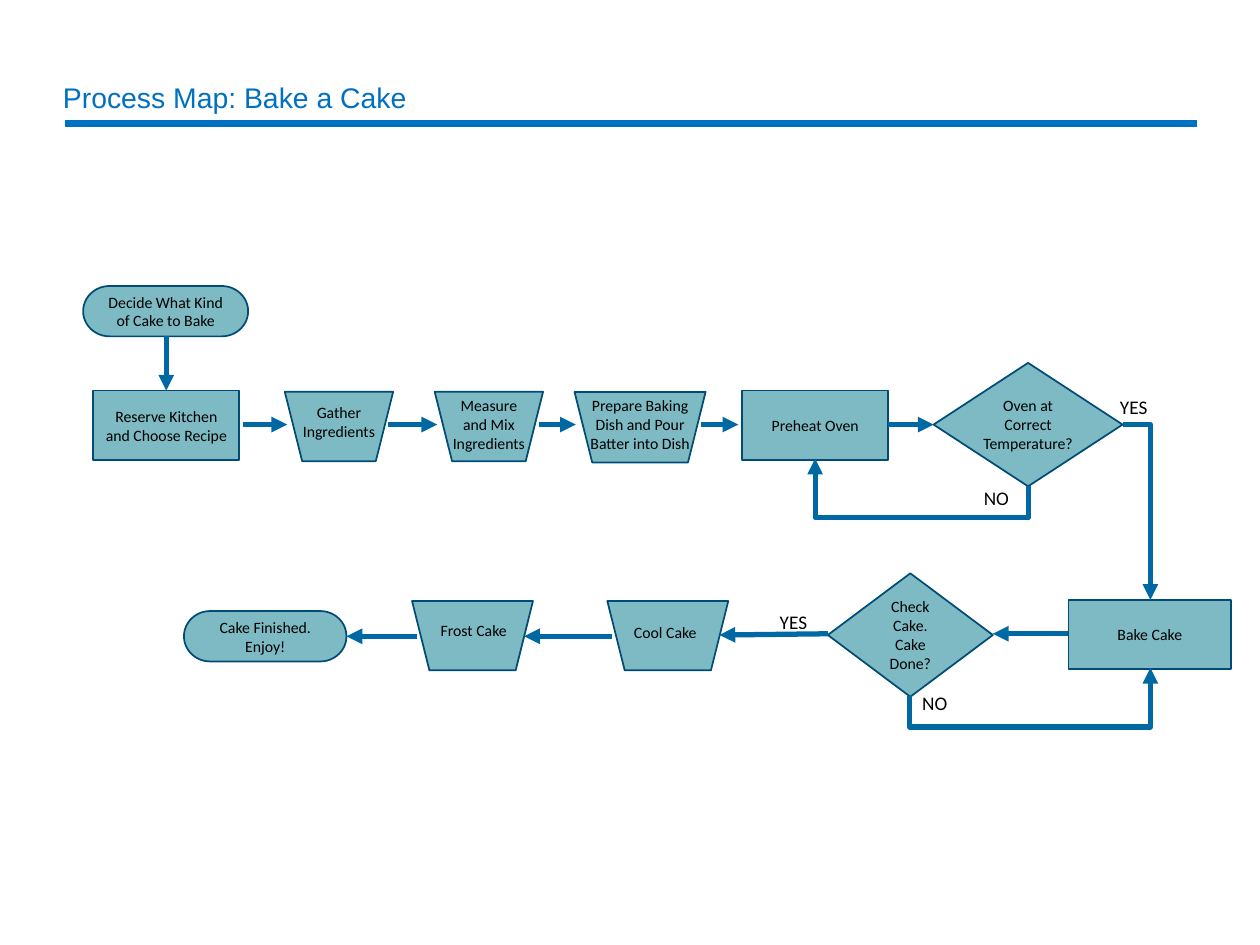
from typing import NamedTuple

from lxml import etree
from pptx import Presentation
from pptx.dml.color import RGBColor
from pptx.enum.shapes import MSO_CONNECTOR, MSO_SHAPE
from pptx.enum.text import MSO_ANCHOR, PP_ALIGN
from pptx.oxml.ns import qn
from pptx.util import Inches, Pt

TERMINATOR = MSO_SHAPE.FLOWCHART_TERMINATOR
PROCESS = MSO_SHAPE.FLOWCHART_PROCESS
DECISION = MSO_SHAPE.FLOWCHART_DECISION
TRAPEZOID = MSO_SHAPE.TRAPEZOID
STRAIGHT, ELBOW = MSO_CONNECTOR.STRAIGHT, MSO_CONNECTOR.ELBOW
TOP, MIDDLE = MSO_ANCHOR.TOP, MSO_ANCHOR.MIDDLE
LEFT, CENTER = PP_ALIGN.LEFT, PP_ALIGN.CENTER

TITLE_BLUE = RGBColor(0x00, 0x70, 0xC0)
ARROW_BLUE = RGBColor(0x00, 0x69, 0xA3)
OUTLINE = RGBColor(0x00, 0x4C, 0x76)
TEAL = RGBColor(0x7D, 0xBA, 0xC4)
BLACK = RGBColor(0, 0, 0)

LOOP_DROP = 0.25


class Step(NamedTuple):
    kind: int
    text: str
    x: float
    y: float
    w: float
    h: float
    inset: float = 0.1


class ManualStep(NamedTuple):
    """A trapezoid with its wide side up, and the box of its upright text."""
    text: str
    x: float
    y: float
    w: float
    h: float
    text_x: float
    text_y: float
    text_h: float


class Arrow(NamedTuple):
    x1: float
    y1: float
    x2: float
    y2: float


class Label(NamedTuple):
    text: str
    x: float
    y: float


STEPS = [
    Step(TERMINATOR, "Decide What Kind of Cake to Bake", 0.66, 2.27, 1.31, 0.4),
    Step(PROCESS, "Reserve Kitchen and Choose Recipe", 0.74, 3.1, 1.16, 0.55),
    Step(PROCESS, "Preheat Oven", 5.89, 3.1, 1.16, 0.55),
    Step(DECISION, "Oven at Correct Temperature?", 7.41, 2.88, 1.5, 0.98, inset=0),
    Step(PROCESS, "Bake Cake", 8.48, 4.76, 1.29, 0.55),
    Step(DECISION, "Check Cake. Cake Done?", 6.57, 4.55, 1.31, 0.98),
    Step(TERMINATOR, "Cake Finished. Enjoy!", 1.46, 4.85, 1.29, 0.4),
]
MANUAL_STEPS = [
    ManualStep("Gather Ingredients", 2.26, 3.11, 0.86, 0.55, 2.26, 3.15, 0.4),
    ManualStep("Measure and Mix Ingredients", 3.45, 3.11, 0.86, 0.55, 3.45, 3.09, 0.56),
    ManualStep("Prepare Baking Dish and Pour Batter into Dish",
               4.56, 3.11, 1.04, 0.56, 4.56, 3.09, 0.56),
    ManualStep("Cool Cake", 4.82, 4.77, 0.96, 0.55, 4.8, 4.89, 0.25),
    ManualStep("Frost Cake", 3.27, 4.77, 0.96, 0.55, 3.28, 4.88, 0.25),
]
ARROWS = [
    Arrow(1.32, 2.67, 1.32, 3.1),
    Arrow(1.93, 3.37, 2.28, 3.37),
    Arrow(3.08, 3.37, 3.47, 3.37),
    Arrow(4.28, 3.37, 4.57, 3.37),
    Arrow(5.56, 3.37, 5.86, 3.37),
    Arrow(7.05, 3.37, 7.41, 3.37),
    Arrow(8.48, 5.03, 7.88, 5.03),
    Arrow(6.57, 5.03, 5.71, 5.04),
    Arrow(4.86, 5.05, 4.16, 5.05),
    Arrow(3.31, 5.05, 2.75, 5.05),
]
LOOPS = [Arrow(8.16, 3.86, 6.47, 3.64), Arrow(7.22, 5.52, 9.13, 5.3)]
YES_TURN = Arrow(8.91, 3.37, 9.13, 4.76)
LABELS = [
    Label("YES", 8.79, 3.09),
    Label("NO", 7.71, 3.81),
    Label("YES", 6.09, 4.79),
    Label("NO", 7.22, 5.44),
]


def write(sp, text: str, *, size: float = 9, font: str = "Calibri",
          color: RGBColor = BLACK, align: int = CENTER, anchor: int = MIDDLE,
          inset: float = 0.1, spacing: float = 1.0) -> None:
    tf = sp.text_frame
    tf.word_wrap = True
    tf.vertical_anchor = anchor
    tf.margin_left = tf.margin_right = Inches(inset)
    tf.margin_top = tf.margin_bottom = Inches(0.05)
    p = tf.paragraphs[0]
    p.alignment = align
    p.line_spacing = spacing
    r = p.add_run()
    r.text = text
    r.font.size = Pt(size)
    r.font.name = font
    r.font.color.rgb = color


def add_text(slide, text: str, x: float, y: float, w: float, h: float, **style) -> None:
    sp = slide.shapes.add_textbox(Inches(x), Inches(y), Inches(w), Inches(h))
    write(sp, text, **style)


def add_block(slide, kind: int, x: float, y: float, w: float, h: float):
    sp = slide.shapes.add_shape(kind, Inches(x), Inches(y), Inches(w), Inches(h))
    sp.shadow.inherit = False
    sp.fill.solid()
    sp.fill.fore_color.rgb = TEAL
    sp.line.color.rgb = OUTLINE
    sp.line.width = Pt(1)
    return sp


def add_manual_step(slide, step: ManualStep) -> None:
    sp = add_block(slide, TRAPEZOID, step.x, step.y, step.w, step.h)
    sp.adjustments[0] = 0.25
    sp.rotation = 180
    add_text(slide, step.text, step.text_x, step.text_y, step.w, step.text_h, anchor=TOP)


def add_line(slide, a: Arrow, kind: int = STRAIGHT, color: RGBColor = ARROW_BLUE,
             width: float = 3, head: bool = True):
    line = slide.shapes.add_connector(
        kind, Inches(a.x1), Inches(a.y1), Inches(a.x2), Inches(a.y2))
    line.line.color.rgb = color
    line.line.width = Pt(width)
    if head:
        etree.SubElement(line.line._get_or_add_ln(), qn("a:tailEnd"), type="triangle")
    etree.SubElement(line._element.spPr, qn("a:effectLst"))
    return line


def add_loop(slide, a: Arrow) -> None:
    """Elbow arrow that drops from its start, runs sideways and rises to its end."""
    rise, run = a.y1 - a.y2, abs(a.x2 - a.x1)
    x, y = (a.x1 + a.x2 - rise) / 2, (a.y1 + a.y2 - run) / 2
    line = add_line(slide, Arrow(x, y, x + rise, y + run), ELBOW)
    spPr = line._element.spPr
    xfrm = spPr.find(qn("a:xfrm"))
    if a.x2 > a.x1:
        xfrm.set("rot", str(270 * 60000))
    else:
        xfrm.set("rot", str(90 * 60000))
        xfrm.set("flipH", "1")
    guides = spPr.find(qn("a:prstGeom")).get_or_add_avLst()
    etree.SubElement(guides, qn("a:gd"), name="adj1",
                     fmla=f"val {round(-LOOP_DROP / rise * 100000)}")


def add_turn(slide, a: Arrow) -> None:
    """Elbow arrow with a single corner."""
    line = add_line(slide, a, ELBOW)
    line._element.spPr.find(qn("a:prstGeom")).set("prst", "bentConnector2")


def main() -> None:
    prs = Presentation()
    prs.slide_width, prs.slide_height = Inches(10), Inches(7.5)
    slide = prs.slides.add_slide(prs.slide_layouts[6])

    add_line(slide, Arrow(0.52, 0.98, 9.5, 0.98), color=TITLE_BLUE, width=4.5, head=False)
    add_text(slide, "Process Map: Bake a Cake", 0.5, 0.64, 9, 0.3, size=16.2,
             font="Arial", color=TITLE_BLUE, align=LEFT, inset=0, spacing=0.9)

    for step in STEPS:
        sp = add_block(slide, step.kind, step.x, step.y, step.w, step.h)
        write(sp, step.text, inset=step.inset)
    for step in MANUAL_STEPS:
        add_manual_step(slide, step)
    for arrow in ARROWS:
        add_line(slide, arrow)
    for loop in LOOPS:
        add_loop(slide, loop)
    add_turn(slide, YES_TURN)
    for label in LABELS:
        add_text(slide, label.text, label.x, label.y, 0.47, 0.29,
                 size=11, align=LEFT, anchor=TOP)

    prs.save("out.pptx")


if __name__ == "__main__":
    main()
